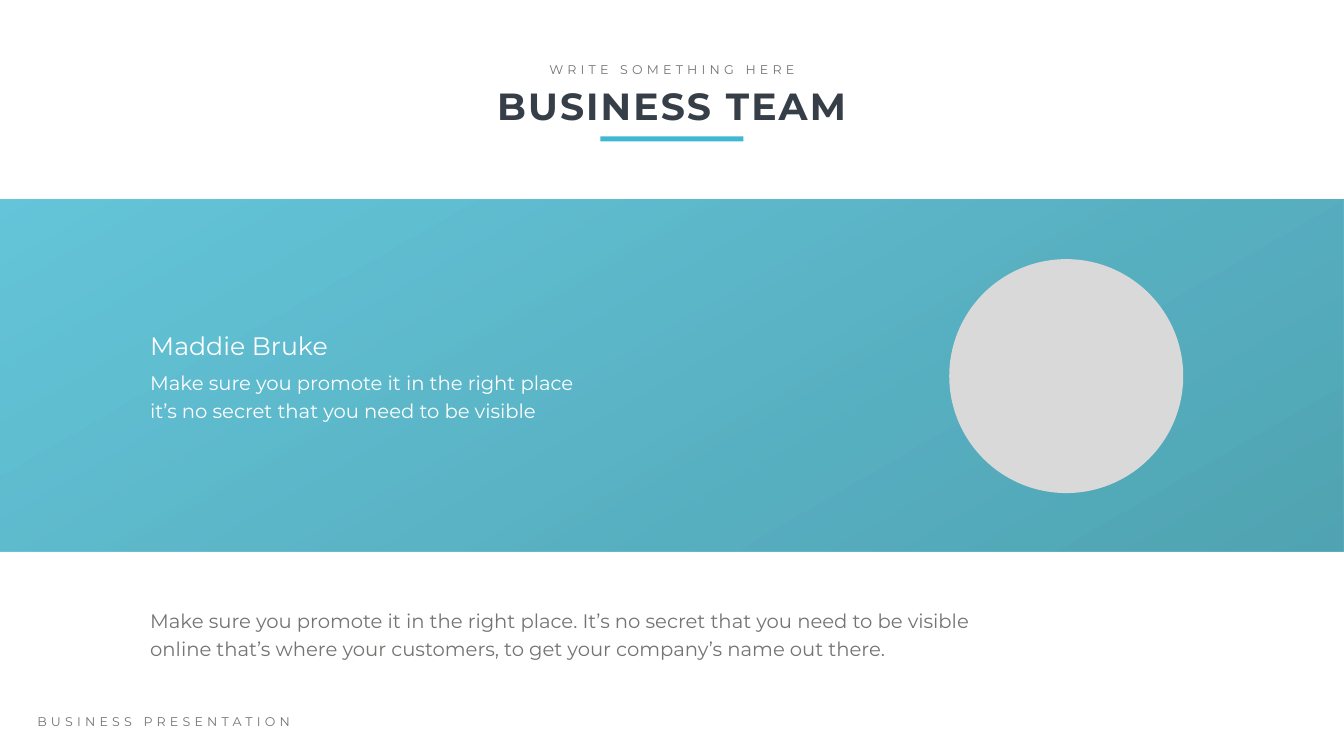
"""Build the business team slide."""
from lxml.etree import SubElement
from pptx import Presentation
from pptx.dml.color import RGBColor
from pptx.enum.shapes import MSO_SHAPE
from pptx.enum.text import MSO_AUTO_SIZE, PP_ALIGN
from pptx.oxml.ns import qn
from pptx.util import Cm, Pt


def color(code):
    return RGBColor.from_string(code)


def draw(kind, left, top, width, height):
    shape = slide.shapes.add_shape(kind, Cm(left), Cm(top), Cm(width), Cm(height))
    shape.shadow.inherit = False
    shape.line.fill.background()
    return shape


WIDE, HIGH = 67.72, 38.1
EDGE = 7.32
DARK, GRAY, WHITE = "363E48", "737572", "FFFFFF"

deck = Presentation()
deck.slide_width, deck.slide_height = Cm(WIDE), Cm(HIGH)
slide = deck.slides.add_slide(deck.slide_layouts[6])

bar = draw(MSO_SHAPE.RECTANGLE, 30.25, 6.88, 7.21, 0.25)
bar.fill.solid()
bar.fill.fore_color.rgb = color("40B8D1")

band = draw(MSO_SHAPE.RECTANGLE, 0, 10.08, WIDE, 17.73)
band.fill.gradient()
band.fill.gradient_angle = 300
for stop, code, place in zip(band.fill.gradient_stops, ("40B8D1", "268EA0"), (0, 0.98)):
    stop.color.rgb = color(code)
    stop.position = place
for tint in band._element.spPr.iter(qn("a:srgbClr")):
    SubElement(tint, qn("a:alpha")).set("val", "80000")

photo = draw(MSO_SHAPE.OVAL, 47.83, 13.06, 11.79, 11.79)
photo.fill.solid()
photo.fill.fore_color.rgb = color("D9D9D9")

intro = "Make sure you promote it in the right place it’s no secret that you need to be visible"
about = (
    "Make sure you promote it in the right place. It’s no secret that you need to be visible "
    "online that’s where your customers, to get your company’s name out there."
)
left, mid = PP_ALIGN.LEFT, PP_ALIGN.CENTER
texts = [
    ("BUSINESS TEAM", 18.52, 4.04, 30.66, 2.57, 54, DARK, mid, 3, None),
    ("WRITE SOMETHING HERE", 27.28, 3.02, 13.16, 1.02, 18, GRAY, mid, 6, None),
    (intro, EDGE, 18.31, 22.28, 3.05, 28, WHITE, left, 0, 40.8),
    ("Maddie Bruke", EDGE, 16.51, 12.22, 1.8, 36, WHITE, left, 0, None),
    (about, EDGE, 30.3, 44.32, 3.05, 28, GRAY, left, 0, 40.8),
    ("BUSINESS PRESENTATION", 1.63, 35.86, 15.37, 1.02, 18, GRAY, left, 6, None),
]
for words, x, y, width, height, size, code, align, gap, pitch in texts:
    box = slide.shapes.add_textbox(Cm(x), Cm(y), Cm(width), Cm(height))
    frame = box.text_frame
    frame.word_wrap = words != "WRITE SOMETHING HERE"
    frame.auto_size = MSO_AUTO_SIZE.SHAPE_TO_FIT_TEXT
    line = frame.paragraphs[0]
    line.text = words
    line.alignment = align
    if pitch:
        line.line_spacing = Pt(pitch)
    line.font.name = "Montserrat"
    line.font.size = Pt(size)
    line.font.bold = size == 54
    line.font.color.rgb = color(code)
    if gap:
        line.runs[0]._r.get_or_add_rPr().set("spc", str(gap * 100))

deck.save("out.pptx")
